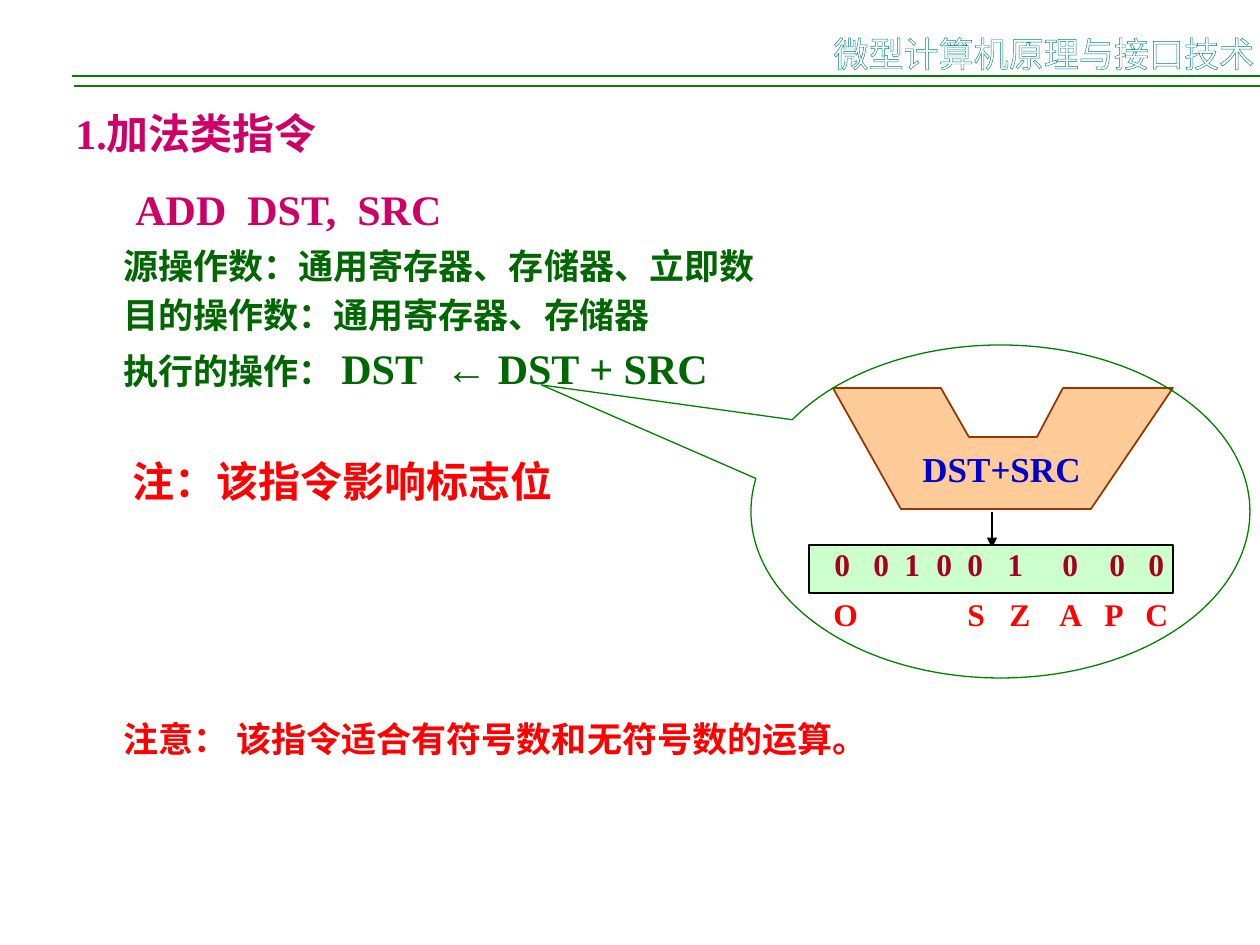
from dataclasses import dataclass
from typing import Optional

from lxml.etree import SubElement
from pptx import Presentation
from pptx.dml.color import RGBColor
from pptx.enum.shapes import MSO_CONNECTOR, MSO_SHAPE
from pptx.enum.text import PP_ALIGN
from pptx.oxml.ns import qn
from pptx.util import Pt

PX = 914400 / 126
COLORS = {
    "white": "FFFFFF", "black": "000000", "teal": "008080", "green": "008000",
    "dark_green": "006600", "magenta": "CC0066", "red": "FF0000",
    "dark_red": "A50021", "blue": "0000CC", "orange": "FFCC99",
    "brown": "993300", "light_green": "CCFFCC",
}
SERIF, SANS, CHINESE = "Times New Roman", "Arial", "Noto Sans CJK SC"


@dataclass(frozen=True)
class Run:
    text: str
    size: int = 24
    font: str = SERIF


@dataclass(frozen=True)
class Line:
    runs: tuple[Run, ...]
    color: str
    indent: int = 0
    before: float = 0
    spacing: Optional[float] = None
    tabs: tuple[int, ...] = ()


@dataclass(frozen=True)
class Label:
    text: str
    left: int
    top: int
    width: int
    height: int
    size: int
    color: str
    tabs: tuple[int, ...] = ()


def emu(pixels: int) -> int:
    return round(pixels * PX)


def rgb(name: str) -> RGBColor:
    return RGBColor.from_string(COLORS[name])


def add_text_box(slide, left: int, top: int, width: int, height: int, *, wrap: bool = True):
    shape = slide.shapes.add_textbox(emu(left), emu(top), emu(width), emu(height))
    shape.text_frame.word_wrap = wrap
    return shape.text_frame


def add_tabs(paragraph, positions: tuple[int, ...]) -> None:
    if positions:
        tab_list = SubElement(paragraph._p.get_or_add_pPr(), qn("a:tabLst"))
        for position in positions:
            SubElement(tab_list, qn("a:tab"), pos=str(emu(position)), algn="l")


def add_run(paragraph, text: str, *, size: int, color: str, font: str = SERIF, bold: bool = True):
    run = paragraph.add_run()
    run.text = text
    run.font.size, run.font.bold, run.font.name = Pt(size), bold, font
    run.font.color.rgb = rgb(color)
    SubElement(run._r.get_or_add_rPr(), qn("a:ea"), typeface=CHINESE)
    return run


def add_line(slide, start: tuple[int, int], end: tuple[int, int], color: str):
    connector = slide.shapes.add_connector(
        MSO_CONNECTOR.STRAIGHT, *map(emu, start), *map(emu, end))
    connector.line.color.rgb = rgb(color)
    connector.line.width = Pt(0.75)
    SubElement(connector._element.spPr, qn("a:effectLst"))
    return connector


def style_shape(shape, *, line: str, fill: Optional[str] = None, width: float = 0.75) -> None:
    shape.shadow.inherit = False
    if fill:
        shape.fill.solid()
        shape.fill.fore_color.rgb = rgb(fill)
    else:
        shape.fill.background()
    shape.line.color.rgb = rgb(line)
    shape.line.width = Pt(width)


def add_label(slide, label: Label) -> None:
    frame = add_text_box(slide, label.left, label.top, label.width, label.height)
    paragraph = frame.paragraphs[0]
    add_tabs(paragraph, label.tabs)
    add_run(paragraph, label.text, size=label.size, color=label.color)


def add_header(slide) -> None:
    add_line(slide, (74, 86), (1260, 86), "green")
    add_line(slide, (72, 76), (1260, 76), "green")
    # The title fills its box from edge to edge
    frame = add_text_box(slide, 829, 26, 430, 48, wrap=False)
    frame.margin_left = frame.margin_right = 0
    paragraph = frame.paragraphs[0]
    paragraph.alignment = PP_ALIGN.CENTER
    run = add_run(paragraph, "微型计算机原理与接口技术", size=20, color="white",
                  font=CHINESE, bold=False)
    # Outlined letters
    properties = run._r.get_or_add_rPr()
    outline = SubElement(properties, qn("a:ln"), w=str(Pt(0.75)))
    fill = SubElement(outline, qn("a:solidFill"))
    SubElement(fill, qn("a:srgbClr"), val=COLORS["teal"])
    properties.insert(0, outline)


def add_body(slide, lines: tuple[Line, ...]) -> None:
    frame = add_text_box(slide, 63, 101, 1197, 664)
    for index, line in enumerate(lines):
        paragraph = frame.add_paragraph() if index else frame.paragraphs[0]
        add_tabs(paragraph, line.tabs)
        if line.indent:
            paragraph._p.get_or_add_pPr().set("marL", str(emu(line.indent)))
            paragraph._p.get_or_add_pPr().set("indent", "0")
        if line.before:
            paragraph.space_before = Pt(line.before)
        if line.spacing:
            paragraph.line_spacing = line.spacing
        for run in line.runs:
            add_run(paragraph, run.text, size=run.size, color=line.color, font=run.font)


def add_adder(slide) -> None:
    # Adder outline
    points = [(833, 388), (941, 388), (969, 437), (1037, 437),
              (1063, 388), (1173, 388), (1091, 509), (901, 509)]
    builder = slide.shapes.build_freeform(*points[0], scale=PX)
    builder.add_line_segments(points[1:], close=True)
    style_shape(builder.convert_to_shape(), line="brown", fill="orange", width=1)

    # Result arrow and flag register
    arrow = add_line(slide, (992, 512), (992, 548), "black")
    SubElement(arrow.line._get_or_add_ln(), qn("a:tailEnd"), type="triangle")
    register = slide.shapes.add_shape(
        MSO_SHAPE.RECTANGLE, emu(809), emu(545), emu(364), emu(48))
    style_shape(register, line="black", fill="light_green")
    for label in LABELS:
        add_label(slide, label)

    # Callout around the adder
    callout = slide.shapes.add_shape(
        MSO_SHAPE.OVAL_CALLOUT, emu(751), emu(345), emu(499), emu(333))
    callout.adjustments[0], callout.adjustments[1] = -0.92, -0.38
    style_shape(callout, line="green")


# Lines with inner tab stops are indented by their first stop
BODY = (
    Line((Run("1.加法类指令"),), "magenta"),
    Line((Run("\tADD\tDST,\tSRC"),), "magenta", before=15, tabs=(60, 172, 282)),
    Line((Run("源操作数：通用寄存器、存储器、立即数", 20),), "dark_green",
         indent=48, before=14.5, spacing=0.6),
    Line((Run("目的操作数：通用寄存器、存储器", 20),), "dark_green",
         indent=48, before=13.5, spacing=0.6),
    Line((Run("\t执行的操作：\t", 20), Run("DST\t"), Run("←", font=SANS), Run(" DST + SRC")),
         "dark_green", before=15, spacing=0.6, tabs=(48, 266, 370)),
    Line((Run("注：该指令影响标志位"),), "red", indent=57, before=47.5, spacing=0.6),
    Line((Run("注意： 该指令适合有符号数和无符号数的运算。", 20),), "red",
         indent=48, before=122),
)
LABELS = (
    Label("DST+SRC", 910, 441, 184, 55, 20, "blue"),
    Label("O\tS\tZ\tA\tP\tC", 821, 589, 385, 50, 18, "red", (134, 176, 226, 271, 312)),
    Label("0\t0\t1\t0\t0\t1\t0\t0\t0", 822, 539, 369, 50, 18, "dark_red",
          (39, 70, 102, 133, 173, 228, 275, 314)),
)


def main() -> None:
    presentation = Presentation()
    presentation.slide_width, presentation.slide_height = emu(1260), emu(945)
    slide = presentation.slides.add_slide(presentation.slide_layouts[6])
    add_header(slide)
    add_body(slide, BODY)
    add_adder(slide)
    presentation.save("out.pptx")


if __name__ == "__main__":
    main()
